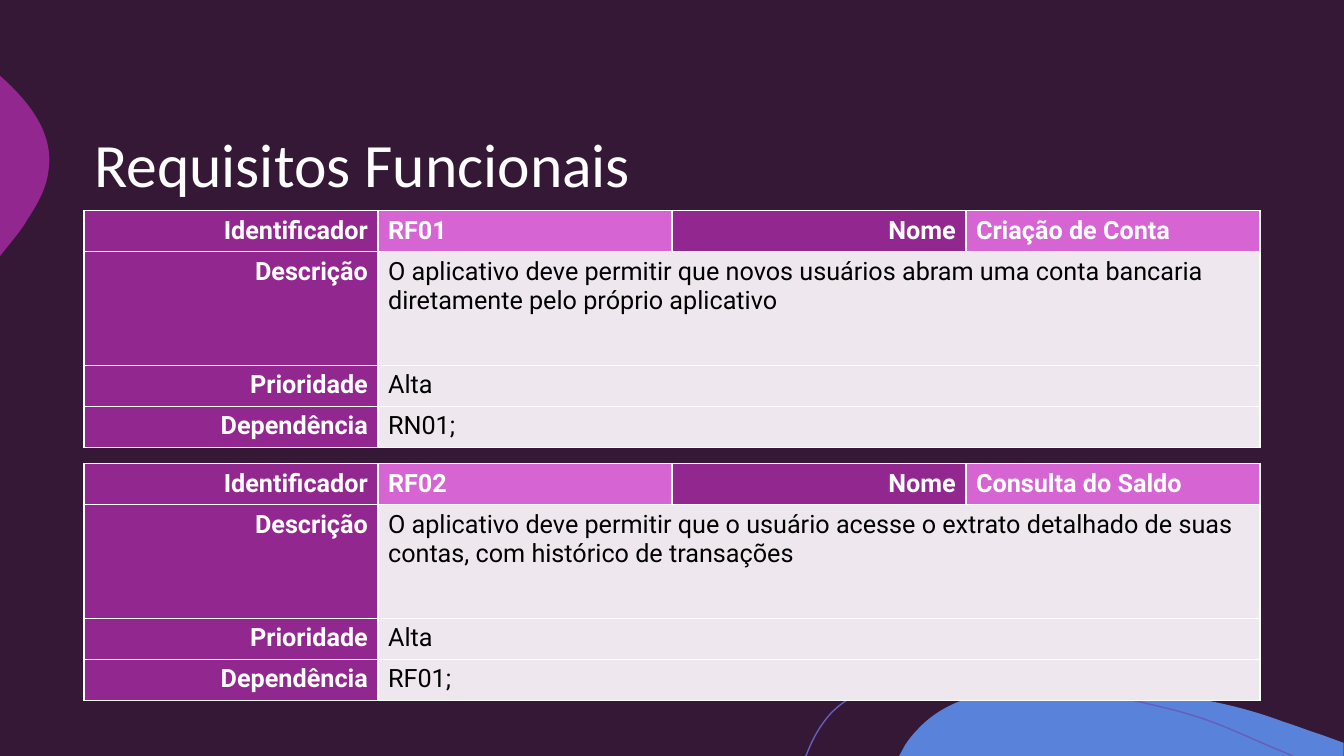
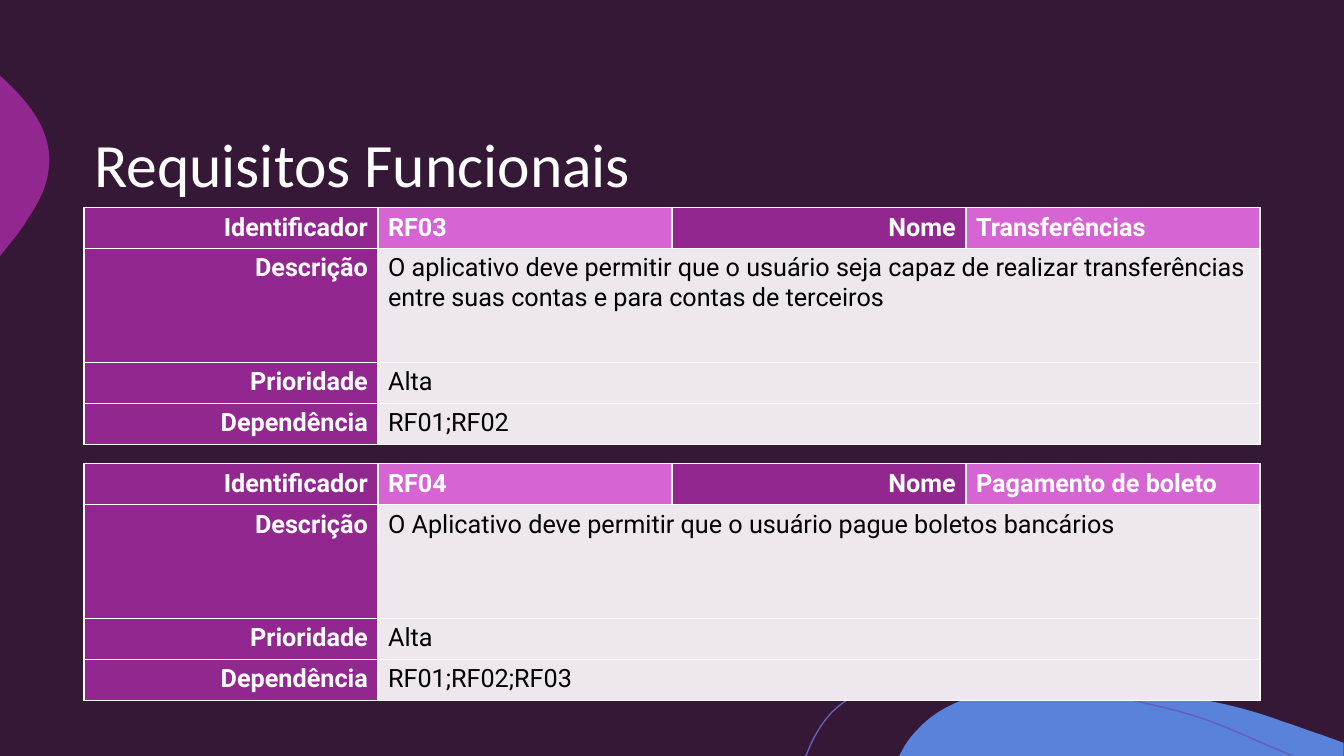
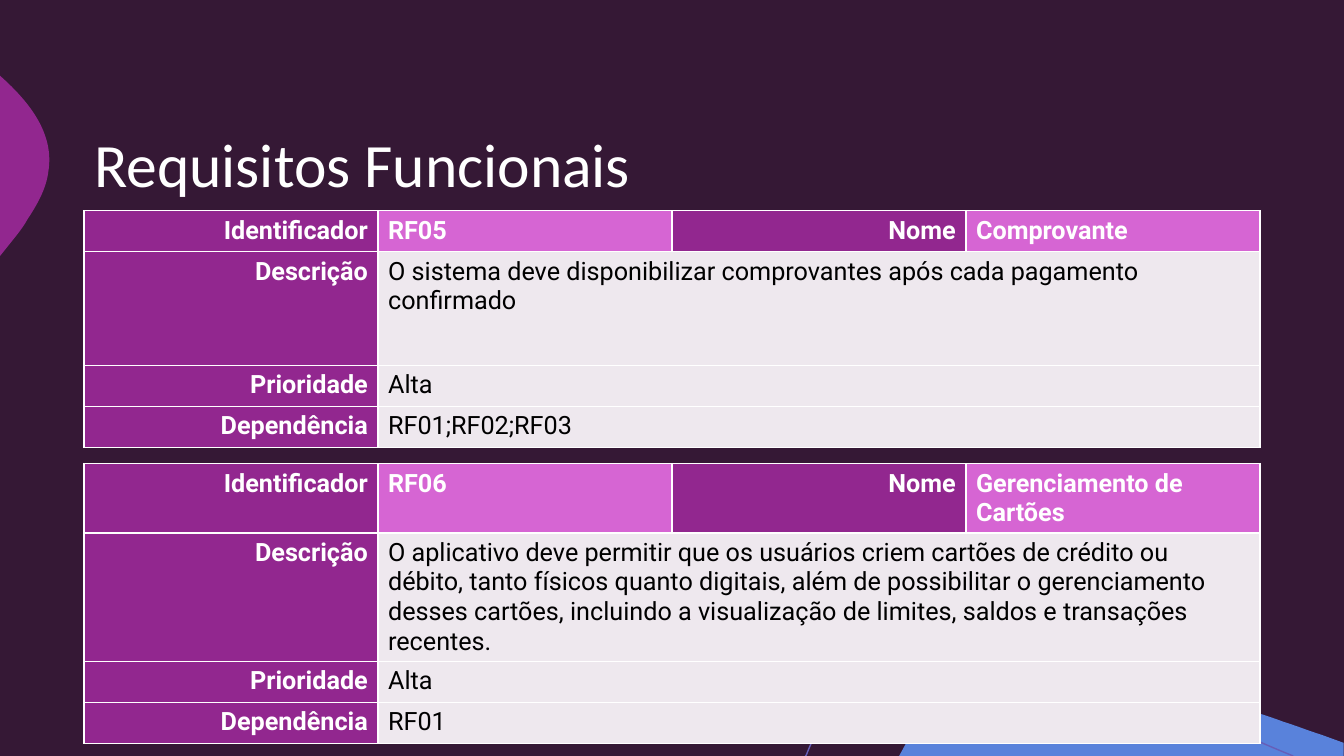
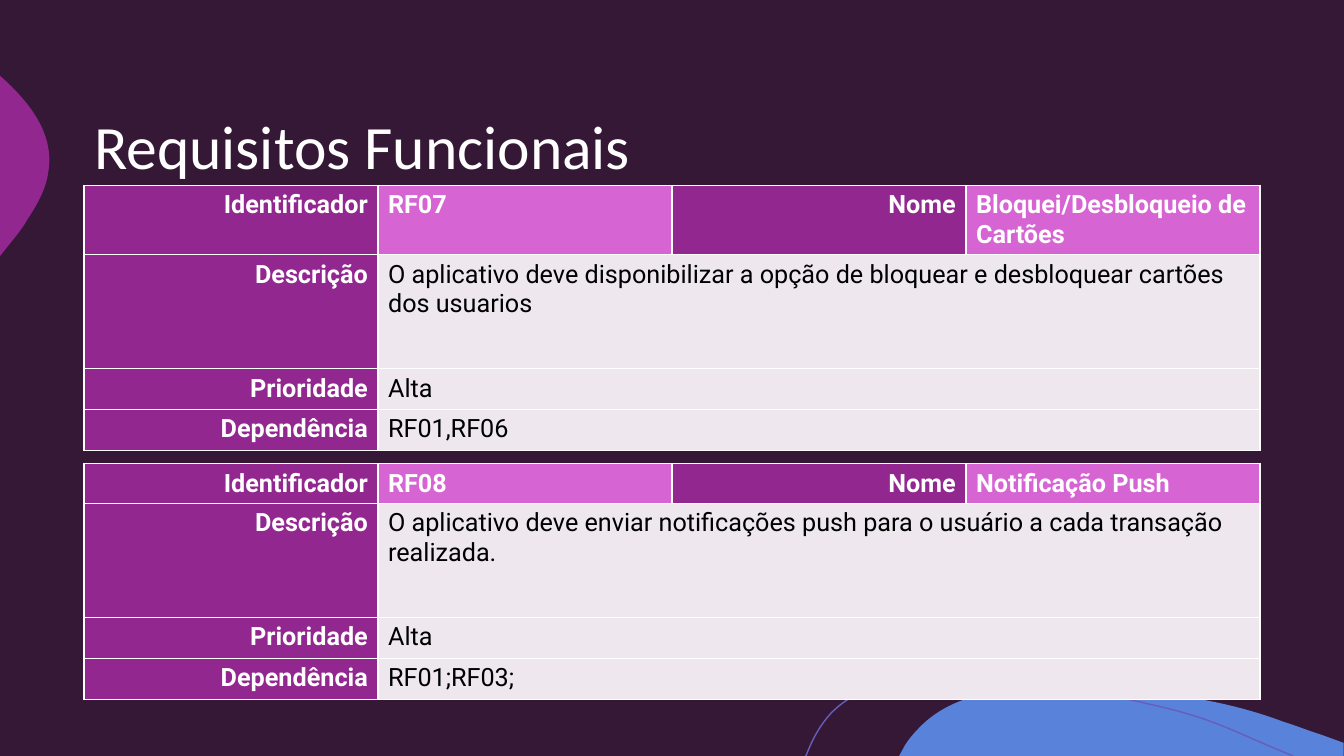
from dataclasses import dataclass

from lxml.etree import SubElement
from pptx import Presentation
from pptx.dml.color import RGBColor
from pptx.enum.text import MSO_ANCHOR, PP_ALIGN
from pptx.oxml import parse_xml
from pptx.oxml.ns import nsdecls, qn
from pptx.util import Inches, Pt

SLIDE_WIDTH = 40 / 3
DESCRIPTION_HEIGHT = 1.13
LINE_HEIGHT = (2.35 - DESCRIPTION_HEIGHT) / 3


@dataclass(frozen=True)
class Theme:
    background: str = "351835"
    label: str = "92278F"
    highlight: str = "D665D3"
    value: str = "EEE8EE"
    wave: str = "5982DB"
    wave_line: str = "665EB8"
    light: str = "FFFFFF"
    dark: str = "000000"
    title_font: str = "Calibri"
    table_font: str = "Roboto"
    title_size: int = 44
    table_size: int = 18
    left: float = SLIDE_WIDTH / 16
    width: float = SLIDE_WIDTH * 7 / 8


@dataclass(frozen=True)
class Requirement:
    code: str
    name: str
    description: tuple
    dependency: str
    priority: str = "Alta"
    header_height: float = LINE_HEIGHT


@dataclass(frozen=True)
class Page:
    requirements: tuple
    table_top: float = 2.09
    title_top: float = 0.83


WAVE = [
    (10.54, 6.83),
    (11.28, 6.83, 12.04, 6.9, 12.73, 7.16),
    (12.86, 7.2, 12.98, 7.25, 13.11, 7.29),
    (13.33, 7.37), (13.33, 7.5), (8.92, 7.5), (8.98, 7.39),
    (9.02, 7.33, 9.06, 7.28, 9.11, 7.23),
    (9.39, 6.93, 9.82, 6.84, 10.23, 6.83),
    (10.33, 6.83, 10.43, 6.83, 10.54, 6.83),
]
SIDE_BLOB = [
    (0, 0.75), (0.01, 0.76),
    (0.3, 1.02, 0.54, 1.33, 0.48, 1.7),
    (0.46, 1.87, 0.37, 2.03, 0.27, 2.18),
    (0.24, 2.24, 0.17, 2.33, 0.08, 2.44),
    (0, 2.54),
]
WAVE_LINE = [
    (7.99, 7.5), (8, 7.49),
    (8.06, 7.33, 8.14, 7.19, 8.24, 7.08),
    (8.5, 6.81, 8.89, 6.73, 9.26, 6.72),
    (9.55, 6.72),
    (10.22, 6.72, 11, 6.89, 11.55, 7.02),
    (12.09, 7.15, 12.26, 7.27, 12.83, 7.5),
]

PAGES = [
    Page((
        Requirement("RF01", "Criação de Conta", (
            "O aplicativo deve permitir que novos usuários abram uma conta bancaria",
            "diretamente pelo próprio aplicativo"), "RN01;"),
        Requirement("RF02", "Consulta do Saldo", (
            "O aplicativo deve permitir que o usuário acesse o extrato detalhado de suas "
            "contas, com histórico de transações",), "RF01;"),
    )),
    Page((
        Requirement("RF03", "Transferências", (
            "O aplicativo deve permitir que o usuário seja capaz de realizar transferências "
            "entre suas contas e para contas de terceiros",), "RF01;RF02"),
        Requirement("RF04", "Pagamento de boleto", (
            "O Aplicativo deve permitir que o usuário pague boletos bancários",),
            "RF01;RF02;RF03"),
    ), table_top=2.06),
    Page((
        Requirement("RF05", "Comprovante", (
            "O sistema deve disponibilizar comprovantes após cada pagamento confirmado",),
            "RF01;RF02;RF03"),
        Requirement("RF06", "Gerenciamento de Cartões", (
            "O aplicativo deve permitir que os usuários criem cartões de crédito ou débito, "
            "tanto físicos quanto digitais, além de possibilitar o gerenciamento desses "
            "cartões, incluindo a visualização de limites, saldos e transações recentes.",),
            "RF01", header_height=0.23),
    )),
    Page((
        Requirement("RF07", "Bloquei/Desbloqueio de Cartões", (
            "O aplicativo deve disponibilizar a opção de bloquear e desbloquear cartões "
            "dos usuarios",), "RF01,RF06"),
        Requirement("RF08", "Notificação Push", (
            "O aplicativo deve enviar notificações push para o usuário a cada transação "
            "realizada.",), "RF01;RF03;", header_height=0.23),
    ), table_top=1.84, title_top=0.65),
]


class Deck:
    """Builds the requirement slides in one shared style."""

    def __init__(self, theme):
        self.theme = theme
        self.presentation = Presentation()
        self.presentation.slide_width = Inches(SLIDE_WIDTH)
        self.presentation.slide_height = Inches(7.5)
        self.layout = self.presentation.slide_layouts[5]
        self.slide = None
        self.paint(self.presentation.slide_master.background.fill, theme.background)

    def paint(self, fill, color):
        fill.solid()
        fill.fore_color.rgb = RGBColor.from_string(color)

    def add_slide(self):
        self.slide = self.presentation.slides.add_slide(self.layout)

    def bend(self, shape, segments):
        lines = list(shape.element.iter(qn("a:lnTo")))
        for line, segment in zip(lines, segments[1:]):
            if len(segment) == 2:
                continue
            curve = parse_xml(f'<a:cubicBezTo {nsdecls("a")}/>')
            for x, y in zip(segment[::2], segment[1::2]):
                SubElement(curve, qn("a:pt"), x=str(Inches(x) - shape.left),
                           y=str(Inches(y) - shape.top))
            line.getparent().replace(line, curve)

    def add_outline(self, segments, fill=None, line=None):
        points = [(Inches(segment[-2]), Inches(segment[-1])) for segment in segments]
        builder = self.slide.shapes.build_freeform(*points[0])
        builder.add_line_segments(points[1:], close=fill is not None)
        shape = builder.convert_to_shape()
        self.bend(shape, segments)
        shape.shadow.inherit = False
        if fill:
            self.paint(shape.fill, fill)
        else:
            shape.fill.background()
        if line:
            self.paint(shape.line.fill, line)
            shape.line.width = Pt(1)
        else:
            shape.line.fill.background()
        return shape

    def add_layout_decoration(self):
        theme = self.theme
        shapes = [
            self.add_outline(WAVE, fill=theme.wave),
            self.add_outline(SIDE_BLOB, fill=theme.label),
            self.add_outline(WAVE_LINE, line=theme.wave_line),
        ]
        for number, shape in enumerate(shapes, start=20):
            shape.element.nvSpPr.cNvPr.set("id", str(number))
            self.layout.shapes.element.append(shape.element)

    def add_run(self, paragraph, text, font, size, color, bold=False):
        run = paragraph.add_run()
        run.text = text
        run.font.name = font
        run.font.size = Pt(size)
        run.font.bold = bold
        run.font.color.rgb = RGBColor.from_string(color)

    def add_title(self, text, top):
        theme = self.theme
        title = self.slide.shapes.title
        title.left, title.top = Inches(theme.left), Inches(top)
        title.width, title.height = Inches(theme.width), Inches(1.67)
        title.text_frame.vertical_anchor = MSO_ANCHOR.MIDDLE
        title.text_frame.word_wrap = True
        paragraph = title.text_frame.paragraphs[0]
        paragraph.alignment = PP_ALIGN.LEFT
        paragraph.line_spacing = 0.9
        self.add_run(paragraph, text, theme.title_font, theme.title_size, theme.light)

    def add_borders(self, cell):
        properties = cell._tc.get_or_add_tcPr()
        for index, side in enumerate(("lnL", "lnR", "lnT", "lnB")):
            border = parse_xml(f'<a:{side} {nsdecls("a")} w="{Pt(1)}"/>')
            fill = SubElement(border, qn("a:solidFill"))
            SubElement(fill, qn("a:srgbClr"), val=self.theme.light)
            properties.insert(index, border)

    def fill_cell(self, cell, lines, color, text_color, alignment=PP_ALIGN.LEFT):
        theme = self.theme
        self.paint(cell.fill, color)
        for index, line in enumerate(lines):
            frame = cell.text_frame
            paragraph = frame.add_paragraph() if index else frame.paragraphs[0]
            paragraph.alignment = alignment
            self.add_run(paragraph, line, theme.table_font, theme.table_size,
                         text_color, bold=text_color == theme.light)

    def add_label(self, cell, text):
        self.fill_cell(cell, [text], self.theme.label, self.theme.light, PP_ALIGN.RIGHT)

    def add_requirement(self, requirement, top):
        theme = self.theme
        heights = [requirement.header_height, DESCRIPTION_HEIGHT, LINE_HEIGHT, LINE_HEIGHT]
        table = self.slide.shapes.add_table(
            4, 4, Inches(theme.left), Inches(top),
            Inches(theme.width), Inches(sum(heights))).table
        table.first_row = table.horz_banding = False
        for row, height in zip(table.rows, heights):
            row.height = Inches(height)
        header = [("Identificador", requirement.code), ("Nome", requirement.name)]
        for index, (label, text) in enumerate(header):
            self.add_label(table.cell(0, 2 * index), label)
            self.fill_cell(table.cell(0, 2 * index + 1), [text], theme.highlight, theme.light)
        details = [
            ("Descrição", requirement.description),
            ("Prioridade", [requirement.priority]),
            ("Dependência", [requirement.dependency]),
        ]
        for row, (label, lines) in enumerate(details, start=1):
            self.add_label(table.cell(row, 0), label)
            table.cell(row, 1).merge(table.cell(row, 3))
            self.fill_cell(table.cell(row, 1), lines, theme.value, theme.dark)
            for column in (2, 3):
                self.paint(table.cell(row, column).fill, theme.value)
        for cell in table.iter_cells():
            self.add_borders(cell)


def main():
    deck = Deck(Theme())
    for number, page in enumerate(PAGES):
        deck.add_slide()
        if number == 0:
            deck.add_layout_decoration()
        deck.add_title("Requisitos Funcionais", page.title_top)
        for requirement, top in zip(page.requirements, (page.table_top, 4.6)):
            deck.add_requirement(requirement, top)
    deck.presentation.save("out.pptx")


if __name__ == "__main__":
    main()
